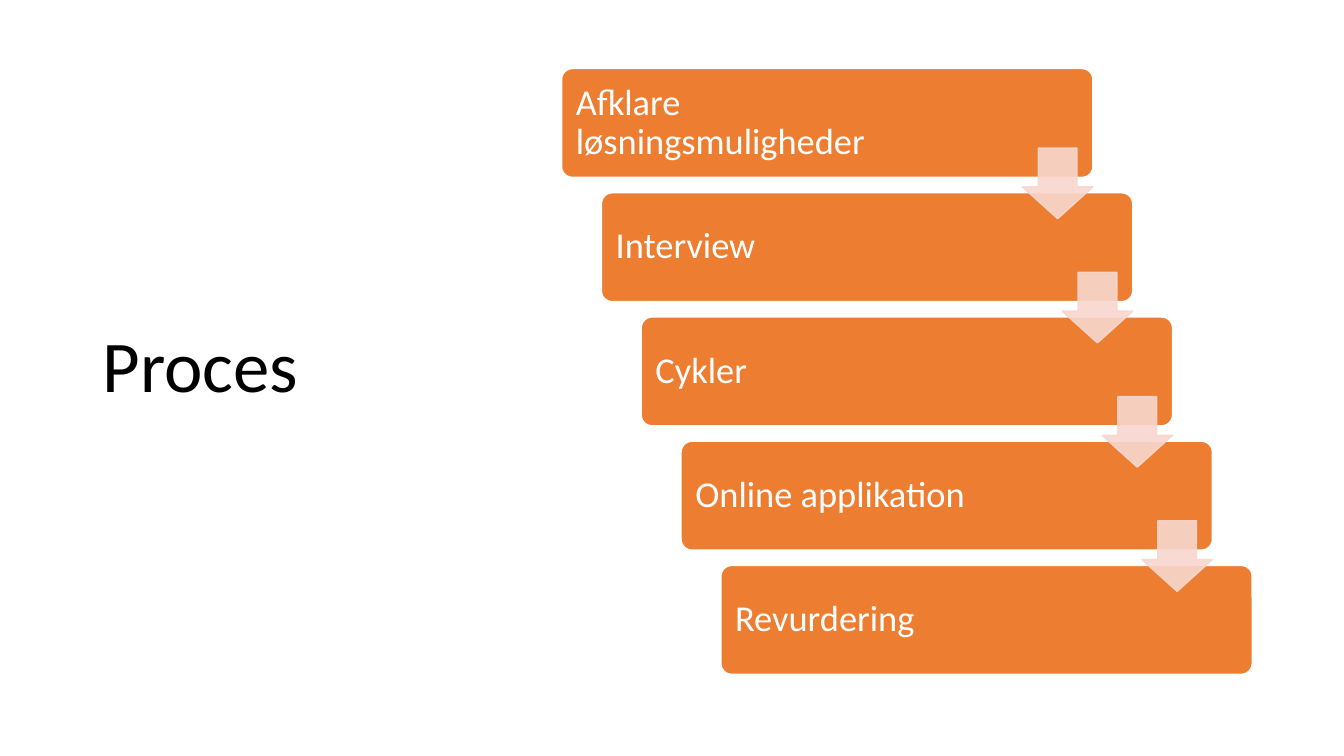
"""Build a slide showing a five-step staircase process."""
import pptx
import pptx.dml.color
import pptx.enum.shapes
import pptx.enum.text
import pptx.oxml
import pptx.oxml.ns
import pptx.util

Inches = pptx.util.Inches
SHAPES = pptx.enum.shapes.MSO_SHAPE


def color(hex_string):
    return pptx.dml.color.RGBColor.from_string(hex_string)


def add_block(preset, position, adjustments, fill, line):
    shape = slide.shapes.add_shape(preset, *map(Inches, position))
    shape.shadow.inherit = False
    for index, value in enumerate(adjustments):
        shape.adjustments[index] = value
    shape.fill.solid()
    shape.fill.fore_color.rgb = color(fill)
    shape.line.color.rgb = color(line)
    shape.line.width = pptx.util.Pt(1)
    return shape


presentation = pptx.Presentation()
presentation.slide_width = Inches(13.33)
presentation.slide_height = Inches(7.5)
slide = presentation.slides.add_slide(presentation.slide_layouts[6])

title = slide.shapes.add_textbox(Inches(0.92), Inches(0.61), Inches(3.69), Inches(6.09))
title.text_frame.text = "Proces"

steps = ["Afklare løsningsmuligheder", "Interview", "Cykler", "Online applikation", "Revurdering"]
step_right = (7.15 - 5.57) / 4
step_down = (5.61 - 0.68) / 4
labels = [(title, 52, "000000")]
for index, text in enumerate(steps):
    position = (5.57 + index * step_right, 0.68 + index * step_down, 5.27, 1.08)
    box = add_block(SHAPES.ROUNDED_RECTANGLE, position, [0.1], "ED7D31", "FFFFFF")
    frame = box.text_frame
    frame.text = text
    frame.margin_left = frame.margin_top = frame.margin_bottom = Inches(0.11)
    frame.margin_right = Inches(1.34)
    labels.append((box, 26, "FFFFFF"))

for shape, size, font_color in labels:
    shape.text_frame.word_wrap = True
    shape.text_frame.vertical_anchor = pptx.enum.text.MSO_ANCHOR.MIDDLE
    paragraph = shape.text_frame.paragraphs[0]
    paragraph.alignment = pptx.enum.text.PP_ALIGN.LEFT
    paragraph.line_spacing = 0.9
    paragraph.font.name = "Calibri"
    paragraph.font.size = pptx.util.Pt(size)
    paragraph.font.color.rgb = color(font_color)

for index in range(len(steps) - 1):
    position = (10.14 + index * step_right, 1.47 + index * step_down, 0.7, 0.7)
    arrow = add_block(SHAPES.DOWN_ARROW, position, [0.55, 0.45], "F8D7CE", "F8D7CE")
    for color_element in arrow.element.spPr.iter(pptx.oxml.ns.qn("a:srgbClr")):
        alpha = pptx.oxml.parse_xml(f'<a:alpha {pptx.oxml.ns.nsdecls("a")} val="90000"/>')
        color_element.append(alpha)

presentation.save("out.pptx")
